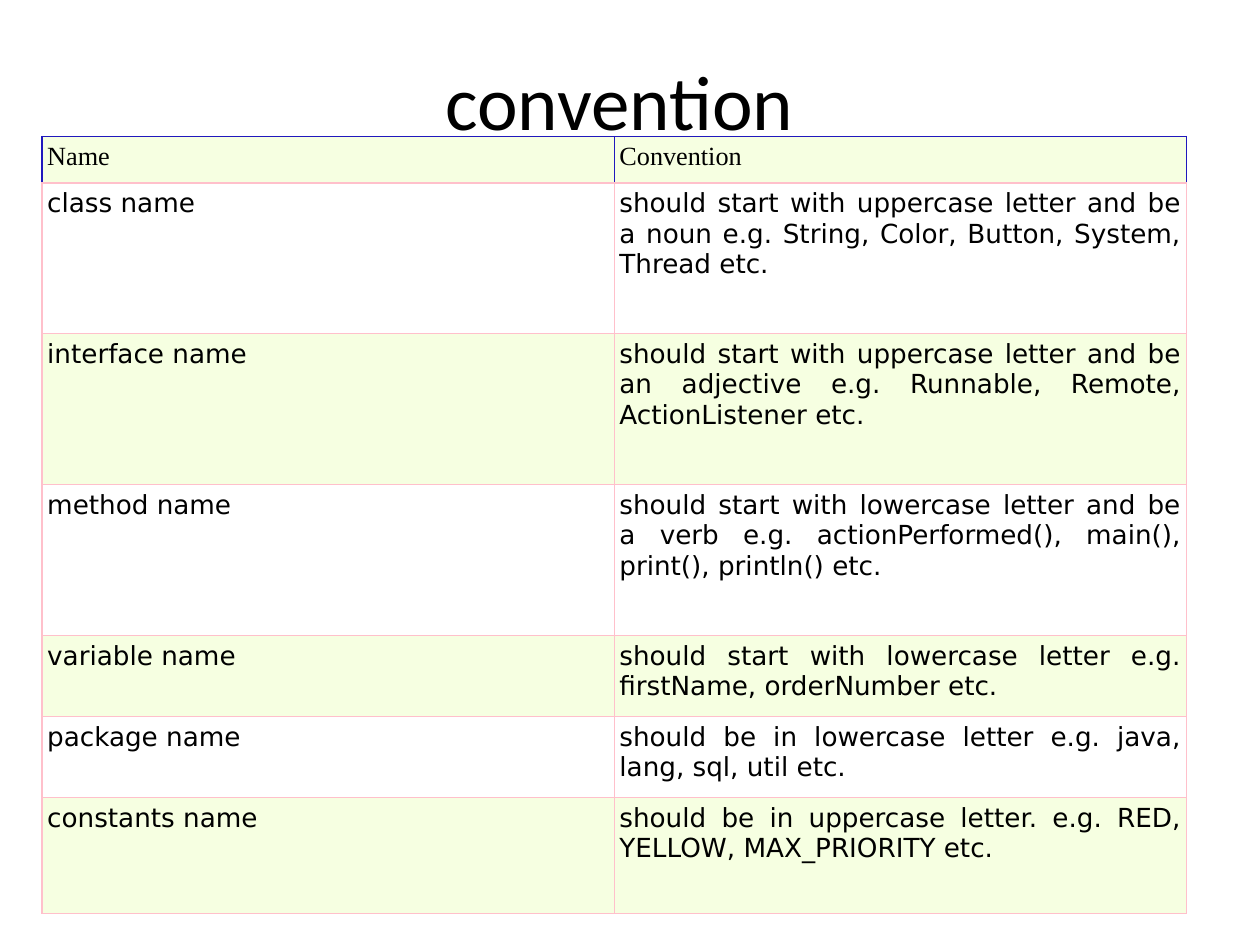
from lxml.etree import SubElement
from pptx import Presentation
from pptx.dml.color import RGBColor
from pptx.enum.text import MSO_ANCHOR, PP_ALIGN
from pptx.oxml.ns import qn
from pptx.util import Pt

BLACK, WHITE, LIME = "000000", "FFFFFF", "F6FFE1"
PINK, BLUE = "FFC0CB", "2018BD"

HEADER = ("Name", "Convention")
CONVENTIONS = [
    ("class name", "should start with uppercase letter and be a noun "
                   "e.g. String, Color, Button, System, Thread etc."),
    ("interface name", "should start with uppercase letter and be an adjective "
                       "e.g. Runnable, Remote, ActionListener etc."),
    ("method name", "should start with lowercase letter and be a verb "
                    "e.g. actionPerformed(), main(), print(), println() etc."),
    ("variable name", "should start with lowercase letter "
                      "e.g. firstName, orderNumber etc."),
    ("package name", "should be in lowercase letter e.g. java, lang, sql, util etc."),
    ("constants name", "should be in uppercase letter. "
                       "e.g. RED, YELLOW, MAX_PRIORITY etc."),
]
ROW_HEIGHTS = [26.6, 86.2, 86.2, 86.2, 46.4, 46.4, 66.2]


def color(code):
    return RGBColor.from_string(code)


def write(frame, text, font, size, align):
    para = frame.paragraphs[0]
    para.alignment = align
    span = para.add_run()
    span.text = text
    span.font.name = font
    span.font.size = Pt(size)
    span.font.color.rgb = color(BLACK)


def set_borders(cell, sides):
    """Draw cell borders; sides maps L, R, T and B to colours."""
    props = cell._tc.get_or_add_tcPr()
    for index, side in enumerate("LRTB"):
        line = SubElement(props, qn(f"a:ln{side}"), w=str(Pt(0.75)))
        fill = SubElement(line, qn("a:solidFill"))
        SubElement(fill, qn("a:srgbClr"), val=sides[side])
        props.remove(line)
        props.insert(index, line)


def add_title(page, text, left, top, width, height):
    title = page.shapes.title
    title.left, title.top = Pt(left), Pt(top)
    title.width, title.height = Pt(width), Pt(height)
    title.text_frame.vertical_anchor = MSO_ANCHOR.MIDDLE
    write(title.text_frame, text, "Calibri", 44, PP_ALIGN.CENTER)


def add_convention_table(page, left, top, width):
    rows = [HEADER, *CONVENTIONS]
    frame = page.shapes.add_table(len(rows), len(HEADER), Pt(left), Pt(top),
                                  Pt(width), Pt(sum(ROW_HEIGHTS)))
    table = frame.table
    for column in table.columns:
        column.width = Pt(width / len(HEADER))
    for r, (texts, height) in enumerate(zip(rows, ROW_HEIGHTS)):
        table.rows[r].height = Pt(height)
        is_header = r == 0
        font = "Times New Roman" if is_header else "DejaVu Sans"
        align = PP_ALIGN.LEFT if is_header else PP_ALIGN.JUSTIFY
        edge = BLUE if is_header else PINK
        for c, text in enumerate(texts):
            cell = table.cell(r, c)
            cell.margin_left = cell.margin_right = Pt(3)
            cell.margin_top = cell.margin_bottom = Pt(3)
            cell.fill.solid()
            cell.fill.fore_color.rgb = color(WHITE if r % 2 else LIME)
            set_borders(cell, {"L": edge, "R": edge, "T": edge, "B": PINK})
            write(cell.text_frame, text, font, 15, align)


def main():
    deck = Presentation()
    deck.slide_width, deck.slide_height = Pt(720), Pt(540)
    page = deck.slides.add_slide(deck.slide_layouts[5])
    add_title(page, "convention", 30, 12, 648, 90)
    add_convention_table(page, 24, 78, 654)
    deck.save("out.pptx")


if __name__ == "__main__":
    main()
